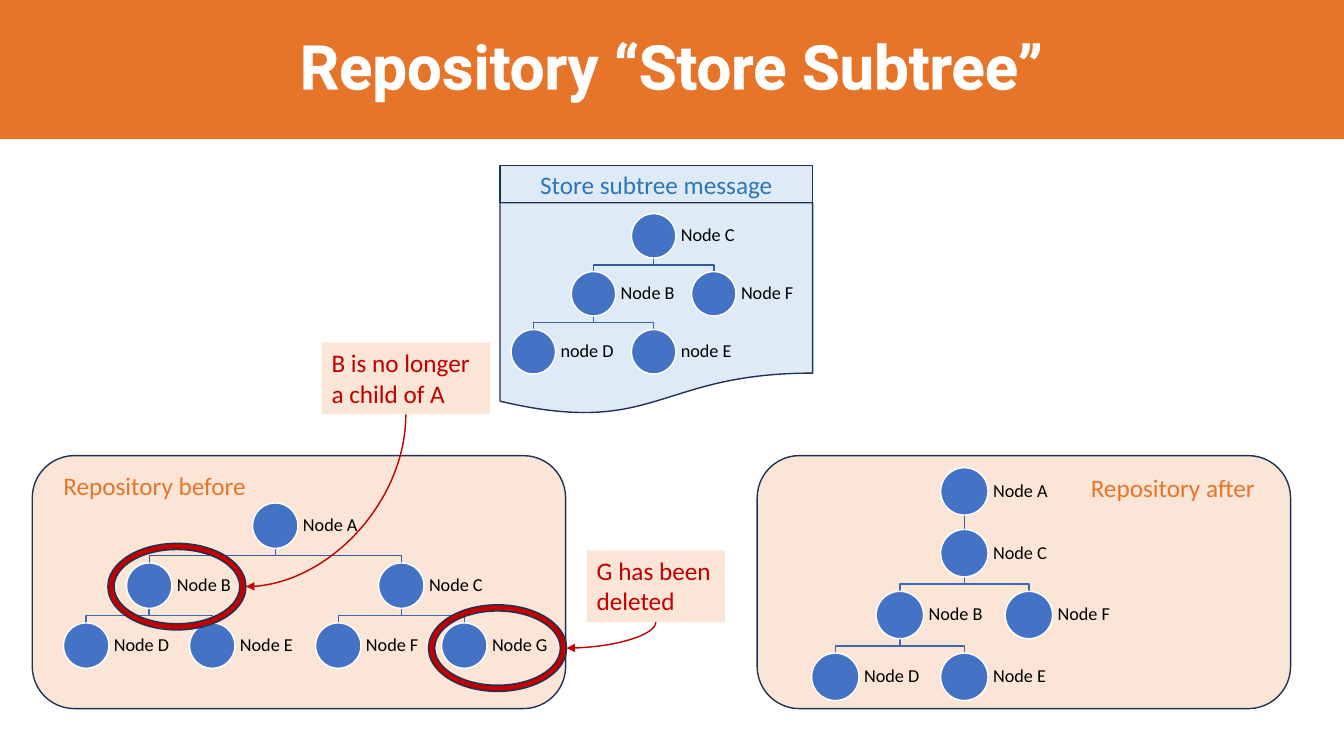
"""Builds the slide on storing a subtree in a repository."""
from lxml import etree
from pptx import Presentation
from pptx import util as u
from pptx.dml.color import RGBColor
from pptx.enum import shapes, text
from pptx.oxml.ns import qn

PX = 9144
COLORS = {
    "orange": "E6752A", "peach": "FBE5D6", "navy": "1E3256", "node": "4472C4",
    "root_link": "365B9D", "link": "3E67B2", "pale_blue": "DEEBF7",
    "blue": "2E75B6", "red": "C00000", "white": "FFFFFF", "black": "000000",
}
BEFORE = [("Node A", 3, 0, None), ("Node B", 1, 1, 0), ("Node D", 0, 2, 1),
          ("Node E", 2, 2, 1), ("Node C", 5, 1, 0), ("Node F", 4, 2, 4),
          ("Node G", 6, 2, 4)]
MESSAGE = [("Node C", 2, 0, None), ("Node B", 1, 1, 0), ("node D", 0, 2, 1),
           ("node E", 2, 2, 1), ("Node F", 3, 1, 0)]
AFTER = [("Node A", 2, 0, None), ("Node C", 2, 1, 0), ("Node B", 1, 2, 1),
         ("Node D", 0, 3, 2), ("Node E", 2, 3, 2), ("Node F", 3, 2, 1)]


def rgb(name):
    """Return the named colour."""
    return RGBColor.from_string(COLORS[name])


def emu(*lengths):
    """Turn px lengths into EMU."""
    return [round(length * PX) for length in lengths]


def outline(item, color):
    """Give a shape or connector a thin line."""
    item.line.color.rgb = rgb(color)
    item.line.width = u.Pt(1)


def write(item, words, size, color, font="Calibri"):
    """Set the text of a shape and return its paragraph."""
    item.text_frame.text = words
    paragraph = item.text_frame.paragraphs[0]
    run_font = paragraph.runs[0].font
    run_font.name, run_font.size = font, u.Pt(size)
    run_font.color.rgb = rgb(color)
    return paragraph


def add_preset(slide, kind, box, fill, line):
    """Add a filled and outlined preset shape."""
    preset = slide.shapes.add_shape(kind, *emu(*box))
    preset.shadow.inherit = False
    preset.fill.solid()
    preset.fill.fore_color.rgb = rgb(fill)
    outline(preset, line)
    return preset


def add_line(slide, kind, start, end, color):
    """Add a connector without a shadow."""
    line = slide.shapes.add_connector(kind, *emu(*start, *end))
    outline(line, color)
    etree.SubElement(line._element.spPr, qn("a:effectLst"))
    return line


def add_caption(slide, box, words, color, wrap):
    """Add a peach text box for a label or a note."""
    caption = slide.shapes.add_textbox(*emu(*box))
    caption.fill.solid()
    caption.fill.fore_color.rgb = rgb("peach")
    write(caption, words, 18, color)
    caption.text_frame.word_wrap = wrap
    caption.text_frame.auto_size = text.MSO_AUTO_SIZE.SHAPE_TO_FIT_TEXT


def add_title(slide, box, words):
    """Format the title placeholder as a banner."""
    banner = slide.shapes.title
    banner.left, banner.top, banner.width, banner.height = emu(*box)
    banner.fill.solid()
    banner.fill.fore_color.rgb = rgb("orange")
    heading = write(banner, words, 44, "white", "Roboto")
    heading.alignment = text.PP_ALIGN.CENTER
    heading.line_spacing = 0.9
    heading.runs[0].font.bold = True
    banner.text_frame.vertical_anchor = text.MSO_ANCHOR.MIDDLE
    banner.text_frame.auto_size = text.MSO_AUTO_SIZE.NONE
    stroke = etree.Element(qn("a:ln"), w=str(u.Pt(0.75)))
    solid = etree.SubElement(stroke, qn("a:solidFill"))
    etree.SubElement(solid, qn("a:srgbClr"), val=COLORS["white"])
    heading.runs[0]._r.get_or_add_rPr().insert(0, stroke)


def add_link(slide, start, end, color):
    """Link a parent to its child, with a bend if they are not aligned."""
    (x1, y1), (x2, y2) = start, end
    if x1 == x2:
        add_line(slide, shapes.MSO_CONNECTOR.STRAIGHT, start, end, color)
        return
    middle = (y1 + y2) / 2
    builder = slide.shapes.build_freeform(*emu(x1, y1))
    bends = [(x1, middle), (x2, middle), (x2, y2)]
    builder.add_line_segments([emu(*point) for point in bends], close=False)
    link = builder.convert_to_shape()
    link.shadow.inherit = False
    link.fill.background()
    outline(link, color)


def add_tree(slide, box, nodes, size):
    """Spread the nodes over the box and link them."""
    left, top, width, height = box
    column = (width - size) / max(node[1] for node in nodes)
    row = (height - size) / max(node[2] for node in nodes)
    corners = [(left + x * column, top + y * row) for _, x, y, _ in nodes]
    for (x, y), (_, _, _, parent) in zip(corners, nodes):
        if parent is not None:
            px, py = corners[parent]
            color = "link" if parent else "root_link"
            add_link(slide, (px + size / 2, py + size), (x + size / 2, y), color)
    for (x, y), (name, _, _, _) in zip(corners, nodes):
        add_preset(slide, shapes.MSO_SHAPE.OVAL, (x, y, size, size), "node", "white")
        label = slide.shapes.add_textbox(*emu(x + size, y, size * 1.5, size))
        write(label, name, 13, "black").line_spacing = 0.9
        frame = label.text_frame
        frame.word_wrap = True
        frame.vertical_anchor = text.MSO_ANCHOR.MIDDLE
        frame.margin_left = frame.margin_right = u.Emu(5 * PX)
        frame.margin_top = frame.margin_bottom = u.Emu(5 * PX)


def add_message(slide, box):
    """Add the message document with its heading and tree."""
    left, top, width, height = box
    header = 37
    add_preset(slide, shapes.MSO_SHAPE.FLOWCHART_DOCUMENT,
               (left, top + header, width, height - header), "pale_blue", "navy")
    add_tree(slide, (left + 11, top + 48, 223, 159), MESSAGE, 44)
    heading = add_preset(slide, shapes.MSO_SHAPE.FLOWCHART_PROCESS,
                         (left, top, width, header), "pale_blue", "navy")
    write(heading, "Store subtree message", 18, "blue").alignment = text.PP_ALIGN.CENTER
    heading.text_frame.vertical_anchor = text.MSO_ANCHOR.MIDDLE


def add_repository(slide, box, name, name_box, nodes, tree_box, size):
    """Add a repository panel; inner boxes are relative to it."""
    left, top = box[:2]
    add_preset(slide, shapes.MSO_SHAPE.ROUNDED_RECTANGLE, box, "peach", "navy")
    for part, (x, y, width, height) in (("tree", tree_box), ("name", name_box)):
        place = (left + x, top + y, width, height)
        if part == "tree":
            add_tree(slide, place, nodes, size)
        else:
            add_caption(slide, place, name, "orange", False)


def add_change(slide, box, words, ring_corner):
    """Add a note whose curved arrow points at a ringed node."""
    left, top, width, height = box
    ring_left, ring_top = ring_corner
    ring_width, ring_height = 137, 86
    ring = add_preset(slide, shapes.MSO_SHAPE.DONUT,
                      (*ring_corner, ring_width, ring_height), "red", "navy")
    ring.adjustments[0] = 0.072
    x1, y1 = left + width / 2, top + height
    x2, y2 = ring_left + ring_width, ring_top + ring_height / 2
    run, drop = x1 - x2, y2 - y1
    x, y = (x1 + x2 - drop) / 2, (y1 + y2 - run) / 2
    arrow = add_line(slide, shapes.MSO_CONNECTOR.CURVE, (x, y), (x + drop, y + run), "red")
    properties = arrow._element.spPr
    properties.find(qn("a:xfrm")).set("rot", "5400000")
    properties.find(qn("a:prstGeom")).set("prst", "curvedConnector2")
    etree.SubElement(properties.find(qn("a:ln")), qn("a:tailEnd"), type="triangle")
    add_caption(slide, box, words, "red", True)


def main():
    """Build and save the slide."""
    deck = Presentation()
    deck.slide_width, deck.slide_height = emu(1333, 750)
    slide = deck.slides.add_slide(deck.slide_layouts[5])
    add_title(slide, (0, 0, 1333, 138), "Repository “Store Subtree”")
    add_repository(slide, (32, 452, 529, 251), "Repository before", (21, 10, 203, 40),
                   BEFORE, (31, 47, 420, 164), 45)
    add_message(slide, (496, 164, 310, 248))
    add_repository(slide, (751, 452, 529, 251), "Repository after", (321, 12, 185, 40),
                   AFTER, (54, 12, 239, 231), 47)
    add_change(slide, (319, 340, 167, 71), "B is no longer a child of A", (107, 539))
    add_change(slide, (582, 546, 137, 71), "G has been deleted", (425, 600))
    deck.save("out.pptx")


if __name__ == "__main__":
    main()
